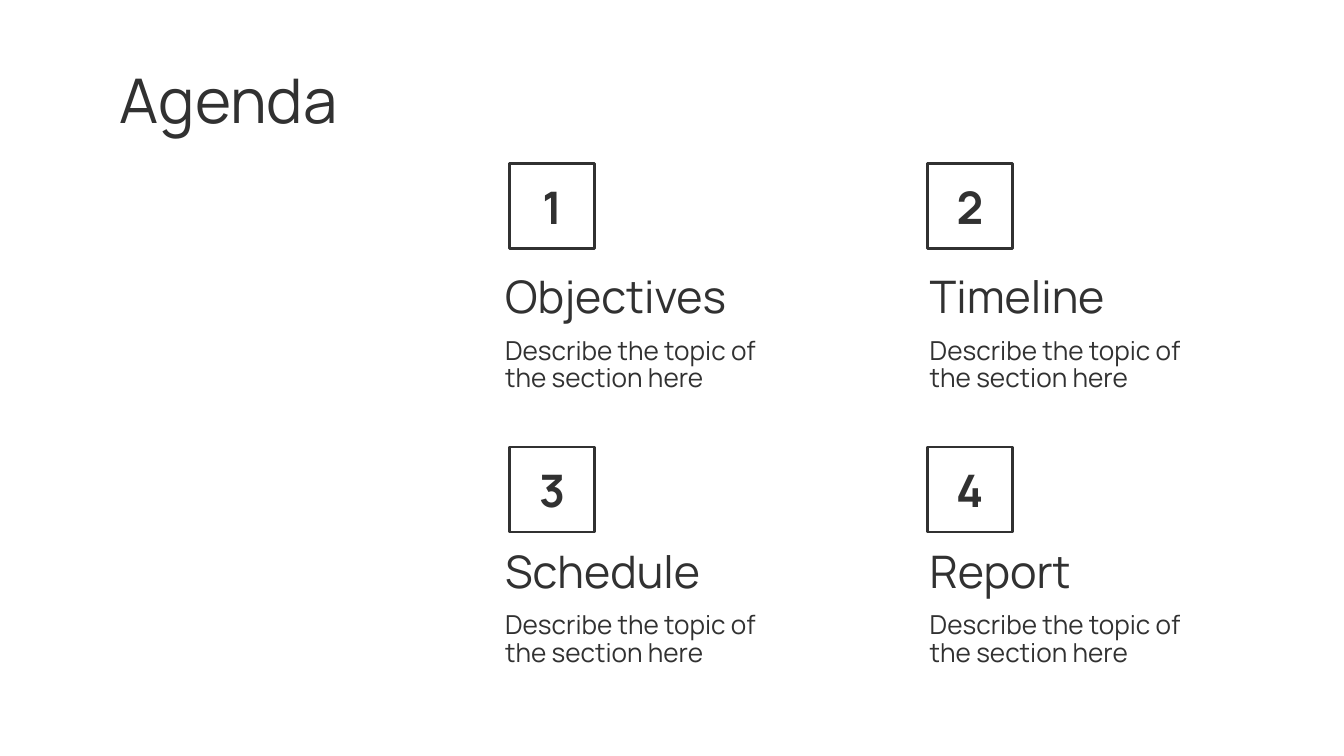
from pptx import Presentation
from pptx.dml.color import RGBColor as RGB
from pptx.enum.shapes import MSO_SHAPE as Shape
from pptx.enum.text import MSO_ANCHOR as Anchor, MSO_AUTO_SIZE as Fit, PP_ALIGN as Align
from pptx.util import Pt

hues = {"ink": "313131", "page": "FFFFFF"}
ink = RGB.from_string(hues["ink"])


def write(shape, text, size, bold=False, align=Align.LEFT, lead=1.0):
    frame = shape.text_frame
    frame.word_wrap = True
    frame.auto_size = Fit.NONE
    frame.vertical_anchor = Anchor.MIDDLE
    frame.margin_left = frame.margin_right = Pt(7.2)
    frame.margin_top = frame.margin_bottom = Pt(7.2)
    para = frame.paragraphs[0]
    para.alignment = align
    para.line_spacing = lead
    run = para.add_run()
    run.text = text
    run.font.name = "Manrope"
    run.font.size = Pt(size)
    run.font.bold = bold
    run.font.color.rgb = ink


deck = Presentation()
deck.slide_width, deck.slide_height = Pt(720), Pt(405)
slide = deck.slides.add_slide(deck.slide_layouts[5])
slide.background.fill.solid()
slide.background.fill.fore_color.rgb = RGB.from_string(hues["page"])

title = slide.shapes.title
title.left, title.top, title.width, title.height = Pt(57), Pt(30), Pt(500), Pt(45.5)
write(title, "Agenda", 33)

topics = ["Objectives", "Timeline", "Schedule", "Report"]
cols = [(273, 263.5), (496.8, 491)]
rows = [(87.8, 137.5), (239.5, 284.5)]
wide = [151, 151, 149, 151]
side = 45.5

for i, topic in enumerate(topics):
    row, col = divmod(i, 2)
    box_x, text_x = cols[col]
    box_y, text_y = rows[row]

    box = slide.shapes.add_shape(Shape.RECTANGLE, Pt(box_x), Pt(box_y), Pt(side), Pt(side))
    box.shadow.inherit = False
    box.fill.background()
    box.line.color.rgb = ink
    box.line.width = Pt(1.5)
    write(box, str(i + 1), 24, bold=True, align=Align.CENTER)

    head = slide.shapes.add_textbox(Pt(text_x), Pt(text_y), Pt(151), Pt(42))
    write(head, topic, 24)

    note = slide.shapes.add_textbox(Pt(text_x), Pt(text_y + 39.5), Pt(wide[i]), Pt(38))
    write(note, "Describe the topic of the section here", 14, lead=0.88)

deck.save("out.pptx")
